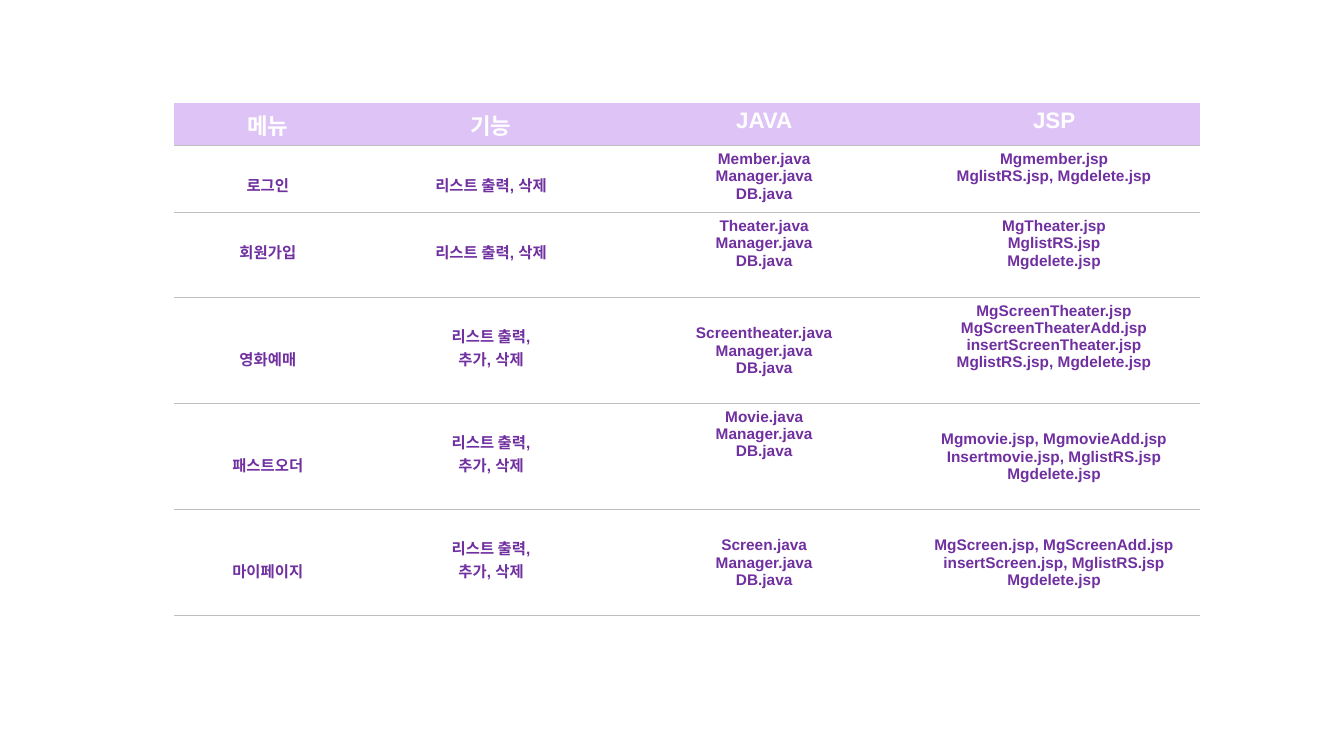
"""Build a slide with a table of menus, features, Java files and JSP files."""
from dataclasses import dataclass

from lxml import etree
from pptx import Presentation
from pptx import util as u
from pptx.dml import color
from pptx.enum import text
from pptx.oxml import ns


@dataclass(frozen=True)
class Theme:
    font: str = "Arial"
    header_fill: str = "DEC4F6"
    header_text: str = "FFFFFF"
    body_text: str = "7030A0"
    rule: str = "BFBFBF"
    header_size: int = 16
    body_size: int = 11
    rule_width: float = 0.5


theme = Theme()


def write_text(cell, content, *, size, tint, lines_down=0):
    cell.margin_top = u.Cm(0.13 + 0.57 * lines_down)
    frame = cell.text_frame
    frame.text = content
    for paragraph in frame.paragraphs:
        paragraph.alignment = text.PP_ALIGN.CENTER
        font = paragraph.runs[0].font
        font.name = theme.font
        font.size = u.Pt(size)
        font.bold = True
        font.color.rgb = color.RGBColor.from_string(tint)


def add_bottom_rule(cell):
    properties = cell._tc.get_or_add_tcPr()
    line = etree.Element(ns.qn("a:lnB"), w=str(u.Pt(theme.rule_width)))
    fill = etree.SubElement(line, ns.qn("a:solidFill"))
    etree.SubElement(fill, ns.qn("a:srgbClr"), val=theme.rule)
    properties.insert(0, line)


headers = ["메뉴", "기능", "JAVA", "JSP"]
list_delete = "리스트 출력, 삭제"
list_add_delete = "리스트 출력,\n추가, 삭제"
shared_java = "Manager.java\nDB.java"
list_and_delete_pages = "MglistRS.jsp, Mgdelete.jsp"

body_rows = [
    (["로그인", list_delete, f"Member.java\n{shared_java}",
      f"Mgmember.jsp\n{list_and_delete_pages}"], [1, 1, 0, 0]),
    (["회원가입", list_delete, f"Theater.java\n{shared_java}",
      "MgTheater.jsp\nMglistRS.jsp\nMgdelete.jsp"], [1, 1, 0, 0]),
    (["영화예매", list_add_delete, f"Screentheater.java\n{shared_java}",
      "MgScreenTheater.jsp\nMgScreenTheaterAdd.jsp\ninsertScreenTheater.jsp\n"
      f"{list_and_delete_pages}"], [2, 1, 1, 0]),
    (["패스트오더", list_add_delete, f"Movie.java\n{shared_java}",
      "Mgmovie.jsp, MgmovieAdd.jsp\nInsertmovie.jsp, MglistRS.jsp\nMgdelete.jsp"],
     [2, 1, 0, 1]),
    (["마이페이지", list_add_delete, f"Screen.java\n{shared_java}",
      "MgScreen.jsp, MgScreenAdd.jsp\ninsertScreen.jsp, MglistRS.jsp\nMgdelete.jsp"],
     [2, 1, 1, 1]),
]
column_widths = [4.72, 6.53, 7.24, 7.37]
row_heights = [1.07, 1.69, 2.13, 2.67, 2.67, 2.67]

presentation = Presentation()
presentation.slide_width = u.Cm(33.87)
presentation.slide_height = u.Cm(19.05)
slide = presentation.slides.add_slide(presentation.slide_layouts[6])

table_shape = slide.shapes.add_table(
    len(row_heights), len(column_widths), u.Cm(4.39), u.Cm(2.6),
    u.Cm(sum(column_widths)), u.Cm(sum(row_heights)))
table = table_shape.table
table.first_row = False
table.horz_banding = False
style = table._tbl.tblPr.find(ns.qn("a:tableStyleId"))
style.text = "{2D5ABB26-0587-4C30-8999-92F81FD0307C}"

for column, width in zip(table.columns, column_widths):
    column.width = u.Cm(width)
for row, height in zip(table.rows, row_heights):
    row.height = u.Cm(height)

for cell, label in zip(table.rows[0].cells, headers):
    write_text(cell, label, size=theme.header_size, tint=theme.header_text)
    cell.fill.solid()
    cell.fill.fore_color.rgb = color.RGBColor.from_string(theme.header_fill)
    add_bottom_rule(cell)

for row_number, (contents, offsets) in enumerate(body_rows, start=1):
    cells = table.rows[row_number].cells
    for cell, content, lines_down in zip(cells, contents, offsets):
        write_text(cell, content, size=theme.body_size, tint=theme.body_text,
                   lines_down=lines_down)
        cell.fill.background()
        add_bottom_rule(cell)

presentation.save("out.pptx")
